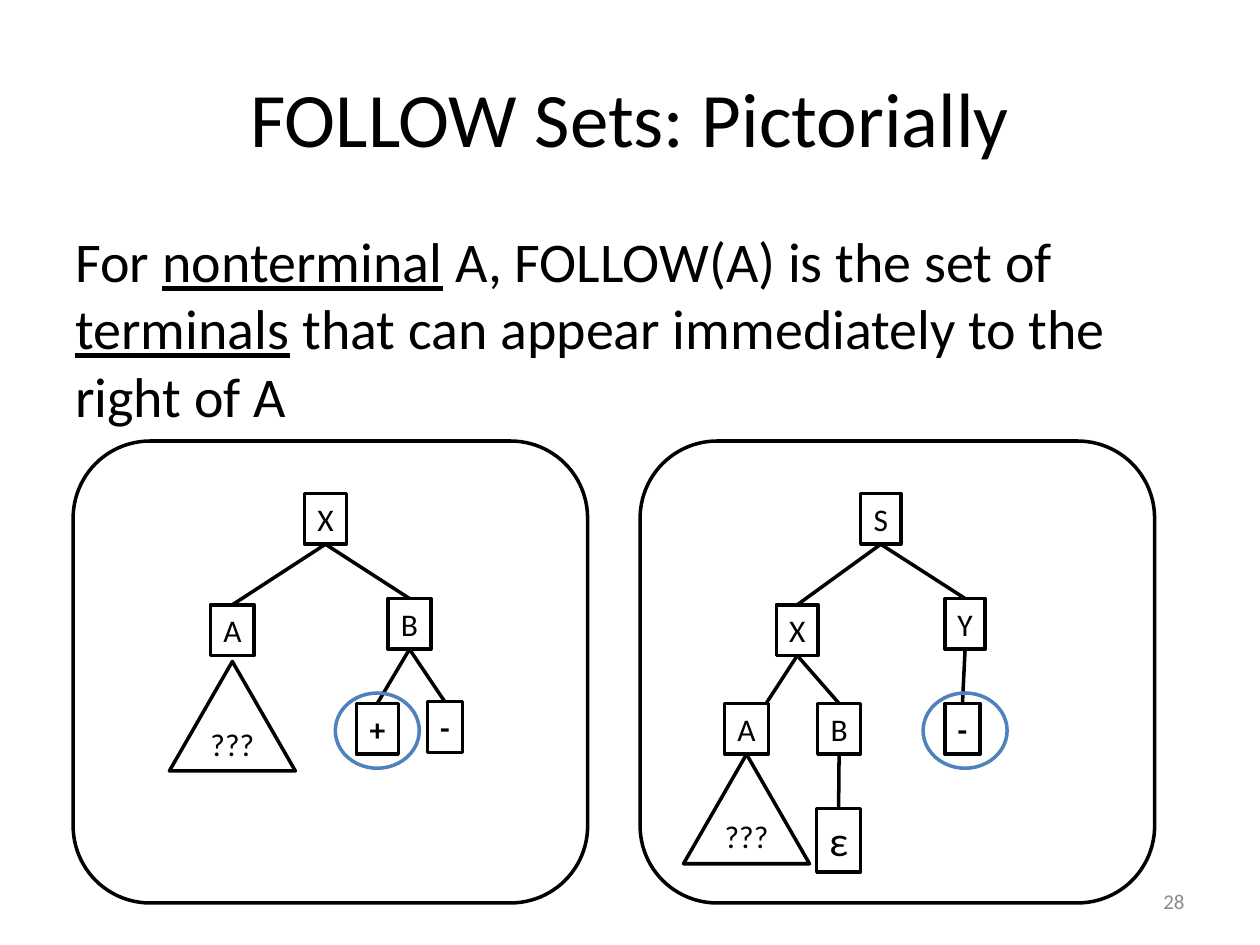
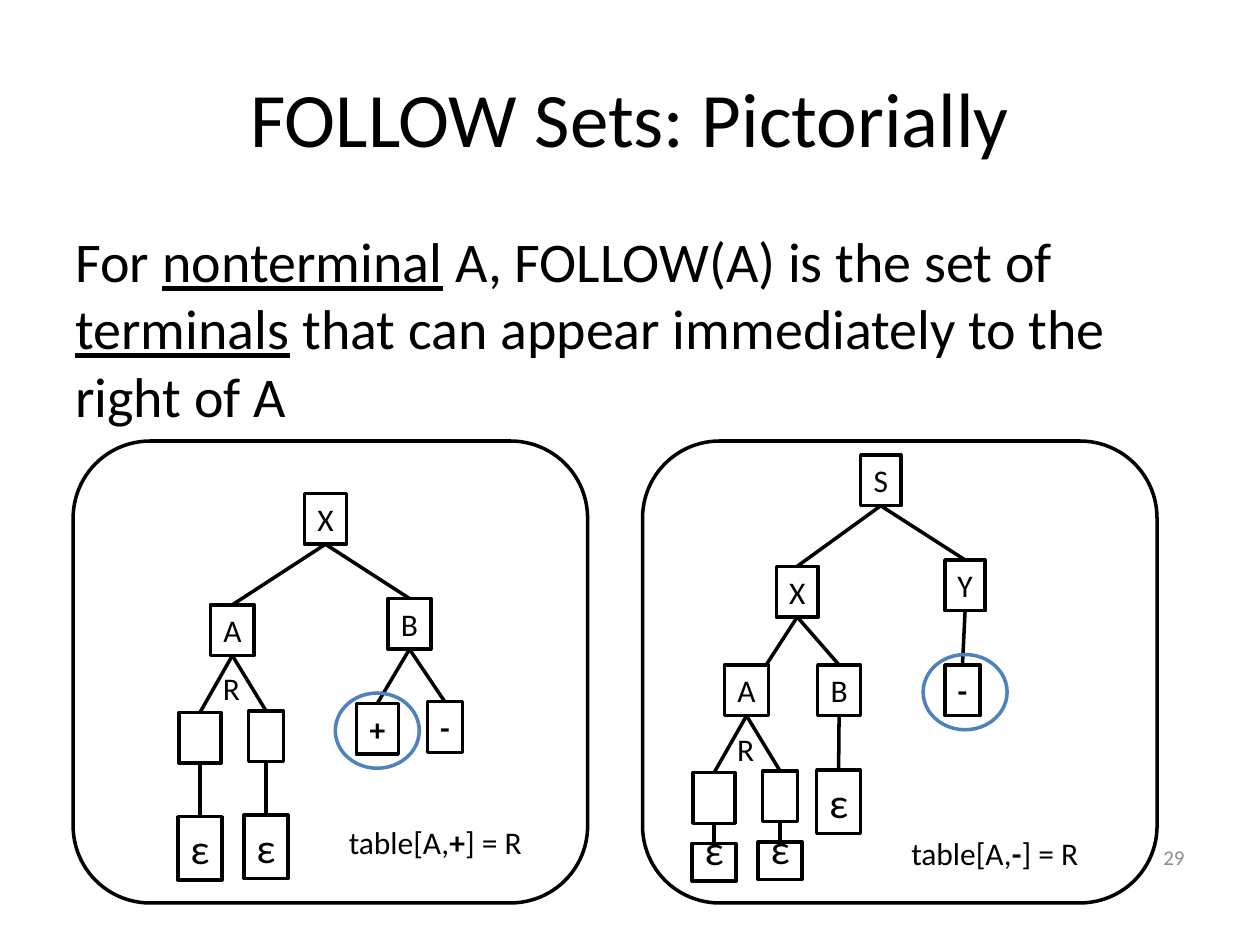
"""Two slides that explain FOLLOW sets with parse trees."""
from dataclasses import dataclass
from typing import Any, Optional

from lxml import etree
from pptx import Presentation
from pptx import slide as s
from pptx import util as u
from pptx.dml import color
from pptx.enum import shapes, text
from pptx.oxml import ns


@dataclass(frozen=True)
class Theme:
    """Colours, type sizes and line width of the deck."""
    ink: str = "000000"
    paper: str = "FFFFFF"
    accent: str = "4F81BD"
    muted: str = "8C8C8C"
    font: str = "Calibri"
    title: float = 44
    body: float = 32
    epsilon: float = 24
    label: float = 18
    number: float = 12
    stroke: float = 2


@dataclass(frozen=True)
class Frame:
    """A rectangle in points."""
    left: float
    top: float
    width: float
    height: float


@dataclass(frozen=True)
class Span:
    """A stretch of text with its own emphasis."""
    words: str
    bold: bool = False
    underline: bool = False


@dataclass(frozen=True)
class Node:
    """A tree node, placed by its centre line and top, joined to its parent."""
    label: str
    centre: float
    top: float
    parent: Optional["Node"] = None
    height: float = 29
    width: float = 24
    reach: float = 0  # how far from its centre line the edge arrives

    @property
    def bottom(self) -> float:
        """Return the lower edge of the node."""
        return self.top + self.height


THEME = Theme()
WIDTHS = {"A": 25, "B": 24.5, "S": 23, "Y": 23, "-": 20, "ε": 25}
TERMINALS = "+-"
EPSILON_HEIGHT, SHORT_EPSILON_HEIGHT = 36.3, 21.6
PANEL_TOP, PANEL_WIDTH, PANEL_HEIGHT = 252, 294, 264
LEFT_PANEL = 41.8
TITLE = "FOLLOW Sets: Pictorially"
DEFINITION = [
    Span("For "), Span("nonterminal", underline=True),
    Span(" A, FOLLOW(A) is the set of "), Span("terminals", underline=True),
    Span(" that can appear immediately to the right of A"),
]
FITTED = {"word_wrap": False, "auto_size": text.MSO_AUTO_SIZE.SHAPE_TO_FIT_TEXT}
MIDDLE = {"vertical_anchor": text.MSO_ANCHOR.MIDDLE}


def assign(target: Any, values: dict[str, Any]) -> None:
    """Set each named attribute of the target."""
    for name, value in values.items():
        setattr(target, name, value)


def rgb(code: str) -> color.RGBColor:
    """Turn a hex code into a colour."""
    return color.RGBColor.from_string(code)


def points(frame: Frame) -> list[u.Pt]:
    """Return left, top, width and height as lengths."""
    return [u.Pt(n) for n in (frame.left, frame.top, frame.width, frame.height)]


def add_outline(page: s.Slide, kind: shapes.MSO_SHAPE, frame: Frame,
                line: str = THEME.ink, fill: Optional[str] = THEME.paper) -> Any:
    """Draw a preset shape with a plain outline."""
    box = page.shapes.add_shape(kind, *points(frame))
    box.shadow.inherit = False
    if fill:
        box.fill.solid()
        box.fill.fore_color.rgb = rgb(fill)
    else:
        box.fill.background()
    box.line.color.rgb = rgb(line)
    box.line.width = u.Pt(THEME.stroke)
    return box


def write(box: Any, spans: list[Span], size: float, ink: str = THEME.ink,
          align: text.PP_ALIGN = text.PP_ALIGN.CENTER,
          layout: Optional[dict[str, Any]] = None,
          paragraph: Optional[dict[str, Any]] = None) -> None:
    """Fill a box with one paragraph of spans."""
    base = {"word_wrap": True, "vertical_anchor": text.MSO_ANCHOR.TOP}
    assign(box.text_frame, base | (layout or {}))
    para = box.text_frame.paragraphs[0]
    assign(para, {"alignment": align} | (paragraph or {}))
    for part in spans:
        span = para.add_run()
        span.text = part.words
        assign(span.font, {"name": THEME.font, "size": u.Pt(size),
                           "bold": part.bold, "underline": part.underline})
        span.font.color.rgb = rgb(ink)


def add_text(page: s.Slide, frame: Frame, spans: list[Span], size: float,
             **options: Any) -> None:
    """Place free text on the page."""
    write(page.shapes.add_textbox(*points(frame)), spans, size, **options)


def add_edge(page: s.Slide, node: Node) -> None:
    """Join a node to its parent."""
    parent = node.parent
    ends = (parent.centre, parent.bottom, node.centre + node.reach, node.top)
    edge = page.shapes.add_connector(shapes.MSO_CONNECTOR.STRAIGHT,
                                     *[u.Pt(n) for n in ends])
    edge.line.color.rgb = rgb(THEME.ink)
    edge.line.width = u.Pt(THEME.stroke)
    etree.SubElement(edge.element.spPr, ns.qn("a:effectLst"))


def add_node(page: s.Slide, node: Node) -> None:
    """Draw the box of a node with its label."""
    width = WIDTHS.get(node.label, node.width)
    box = add_outline(page, shapes.MSO_SHAPE.RECTANGLE,
                      Frame(node.centre - width / 2, node.top, width, node.height))
    if not node.label:
        return
    size = THEME.epsilon if node.label == "ε" else THEME.label
    short = node.height == SHORT_EPSILON_HEIGHT
    write(box, [Span(node.label, bold=node.label in TERMINALS)], size,
          layout=FITTED, paragraph={"line_spacing": u.Pt(14)} if short else None)


def add_tree(page: s.Slide, nodes: list[Node]) -> None:
    """Draw all edges, then all nodes above them."""
    for node in nodes:
        if node.parent:
            add_edge(page, node)
    for node in nodes:
        add_node(page, node)


def add_ring(page: s.Slide, centre: float, node: Node) -> None:
    """Circle the terminal that follows A."""
    add_outline(page, shapes.MSO_SHAPE.OVAL,
                Frame(centre - 24, node.top - 6, 48, 43), THEME.accent, None)


def add_unknown(page: s.Slide, centre: float, top: float) -> None:
    """Draw the triangle of an unknown subtree."""
    box = add_outline(page, shapes.MSO_SHAPE.ISOSCELES_TRIANGLE,
                      Frame(centre - 36, top, 72, 62.6))
    sides = ("left", "top", "right", "bottom")
    insets = {f"margin_{side}": u.Pt(3.6) for side in sides}
    write(box, [Span("???")], THEME.label, layout=MIDDLE | insets)


def left_tree() -> dict[str, Node]:
    """Return the tree in which A is followed by plus."""
    x = Node("X", 186, 282)
    a = Node("A", 132.8, 345.6, x)
    b = Node("B", 234, 342, x)
    plus = Node("+", 215.6, 402, b)
    minus = Node("-", 254.2, 401, b)
    return {node.label: node for node in (x, a, b, plus, minus)}


def right_tree(top: float) -> dict[str, Node]:
    """Return the tree in which A is followed by minus."""
    root = Node("S", 503.3, top)
    x = Node("X", 455.6, top + 63.6, root)
    y = Node("Y", 551.5, top + 60, root)
    minus = Node("-", 550, top + 120, y)
    a = Node("A", 426.6, top + 120, x, reach=11.2)
    b = Node("B", 479.5, top + 120, x)
    epsilon = Node("ε", 479.2, top + 180, b, EPSILON_HEIGHT)
    return {node.label: node for node in (root, x, y, minus, a, b, epsilon)}


def add_expansion(page: s.Slide, a: Node, gap: float, height: float) -> None:
    """Expand A by rule R into two symbols that vanish."""
    children = [Node("", a.centre - 18.5, a.top + 61.5, a),
                Node("", a.centre + 19.2, a.top + 60.6, a, width=20)]
    leaves = [Node("ε", child.centre, child.bottom + gap, child, height)
              for child in children]
    add_tree(page, children + leaves)
    add_text(page, Frame(a.centre - 12.8, a.top + 33.4, 24.5, 29),
             [Span("R")], THEME.label, layout=FITTED)


def add_entry(page: s.Slide, left: float, top: float, terminal: str) -> None:
    """Write the table entry for A and a terminal."""
    spans = [Span("table[A,"), Span(terminal, bold=True), Span("] = R")]
    add_text(page, Frame(left, top, 114.5, 29), spans, THEME.label, layout=FITTED)


def add_page(deck: Any, number: int, number_top: float, right_panel: float,
             left: dict[str, Node], right: dict[str, Node]) -> s.Slide:
    """Add a slide with panels, heading, definition, number and both trees."""
    page = deck.slides.add_slide(deck.slide_layouts[6])
    for panel in (right_panel, LEFT_PANEL):
        add_outline(page, shapes.MSO_SHAPE.ROUNDED_RECTANGLE,
                    Frame(panel, PANEL_TOP, PANEL_WIDTH, PANEL_HEIGHT))
    add_text(page, Frame(36, 21.6, 648, 90), [Span(TITLE)], THEME.title,
             layout=MIDDLE)
    add_text(page, Frame(36, 126, 648, 356.4), DEFINITION, THEME.body,
             align=text.PP_ALIGN.LEFT, paragraph={"space_before": u.Pt(6.4)})
    add_text(page, Frame(516, number_top, 168, 28.8), [Span(str(number))],
             THEME.number, ink=THEME.muted, align=text.PP_ALIGN.RIGHT, layout=MIDDLE)
    for tree in (left, right):
        add_tree(page, list(tree.values()))
    add_ring(page, left["+"].centre, left["+"])
    add_ring(page, right["Y"].centre, right["-"])
    return page


def main() -> None:
    """Build and save the deck."""
    deck = Presentation()
    assign(deck, {"slide_width": u.Pt(720), "slide_height": u.Pt(540)})

    left, right = left_tree(), right_tree(282)
    page = add_page(deck, 28, 500.4, 365.8, left, right)
    add_unknown(page, left["A"].centre, left["A"].bottom + 3.4)
    add_unknown(page, right["A"].centre, right["A"].bottom)

    left, right = left_tree(), right_tree(260)
    page = add_page(deck, 29, 475.2, 367.2, left, right)
    add_expansion(page, left["A"], 30.6, EPSILON_HEIGHT)
    add_expansion(page, right["A"], 11.5, SHORT_EPSILON_HEIGHT)
    add_entry(page, 191.5, 466.5, "+")
    add_entry(page, 511.2, 473, "-")

    deck.save("out.pptx")


main()
